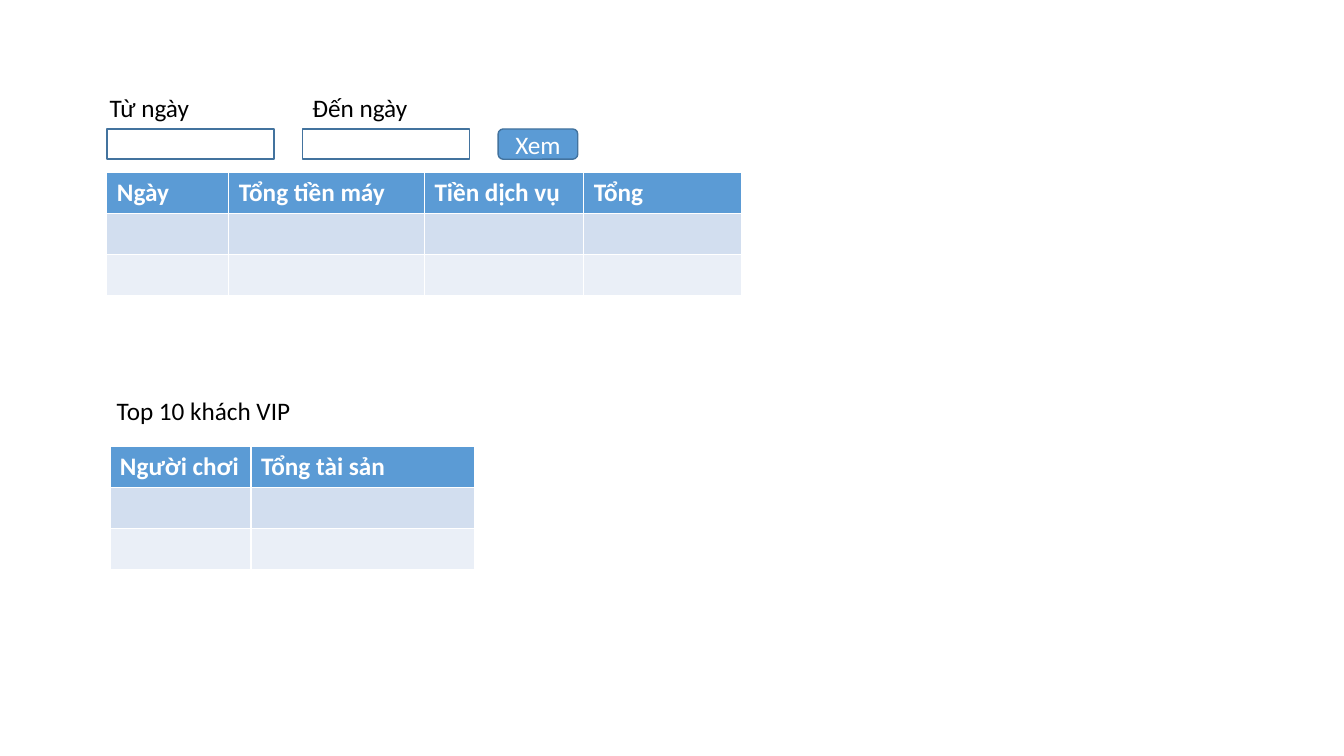
from pptx import Presentation
from pptx.dml.color import RGBColor
from pptx.enum.shapes import MSO_SHAPE
from pptx.enum.text import MSO_ANCHOR, MSO_AUTO_SIZE, PP_ALIGN
from pptx.util import Emu, Pt

RECTANGLE, ROUNDED = MSO_SHAPE.RECTANGLE, MSO_SHAPE.ROUNDED_RECTANGLE
MIDDLE, CENTER = MSO_ANCHOR.MIDDLE, PP_ALIGN.CENTER
GROW = MSO_AUTO_SIZE.SHAPE_TO_FIT_TEXT
PX = 9144  # 100 px to the inch

THEME = {
    "font": "Calibri",
    "size": Pt(18),
    "line_width": Pt(1),
    "text": RGBColor.from_string("000000"),
    "white": RGBColor.from_string("FFFFFF"),
    "accent": RGBColor.from_string("5B9BD5"),
    "outline": RGBColor.from_string("43739E"),
    "bands": [RGBColor.from_string(code) for code in ("5B9BD5", "D2DEEF", "EAEFF7")],
}


def px(*lengths):
    return [Emu(length * PX) for length in lengths]


def write(frame, text, color, bold=False):
    frame.text = text
    for span in frame.paragraphs[0].runs:
        span.font.name = THEME["font"]
        span.font.size = THEME["size"]
        span.font.bold = bold
        span.font.color.rgb = color


deck = Presentation()
deck.slide_width, deck.slide_height = px(1333, 750)
page = deck.slides.add_slide(deck.slide_layouts[6])

# Tables: left, top, column widths, headings
tables = [
    (106, 171, (121, 194, 158, 157), ("Ngày", "Tổng tiền máy", "Tiền dịch vụ", "Tổng")),
    (109, 443, (140, 222), ("Người chơi", "Tổng tài sản")),
]
row_heights = (40, 41, 40)
for left, top, widths, headings in tables:
    grid = page.shapes.add_table(
        len(row_heights), len(widths), *px(left, top, sum(widths), sum(row_heights))
    ).table
    for column, width in zip(grid.columns, px(*widths)):
        column.width = width
    for row, height, band in zip(grid.rows, px(*row_heights), THEME["bands"]):
        row.height = height
        for cell in row.cells:
            cell.fill.solid()
            cell.fill.fore_color.rgb = band
    for cell, heading in zip(grid.rows[0].cells, headings):
        write(cell.text_frame, heading, THEME["white"], bold=True)

# Date fields and the view button: preset, left, width, fill, caption
controls = [
    (RECTANGLE, 106, 166, THEME["white"], ""),
    (RECTANGLE, 300, 166, THEME["white"], ""),
    (ROUNDED, 494, 79, THEME["accent"], "Xem"),
]
for preset, left, width, fill, caption in controls:
    box = page.shapes.add_shape(preset, *px(left, 128, width, 30))
    box.shadow.inherit = False
    box.fill.solid()
    box.fill.fore_color.rgb = fill
    box.line.color.rgb = THEME["outline"]
    box.line.width = THEME["line_width"]
    if caption:
        write(box.text_frame, caption, THEME["white"])
        box.text_frame.vertical_anchor = MIDDLE
        box.text_frame.paragraphs[0].alignment = CENTER

# Labels: text, left, top, width
labels = [
    ("Từ ngày", 99, 87, 100),
    ("Đến ngày", 300, 87, 115),
    ("Top 10 khách VIP", 106, 387, 194),
]
for text, left, top, width in labels:
    box = page.shapes.add_textbox(*px(left, top, width, 40))
    box.text_frame.word_wrap = False
    box.text_frame.auto_size = GROW
    write(box.text_frame, text, THEME["text"])

deck.save("out.pptx")
